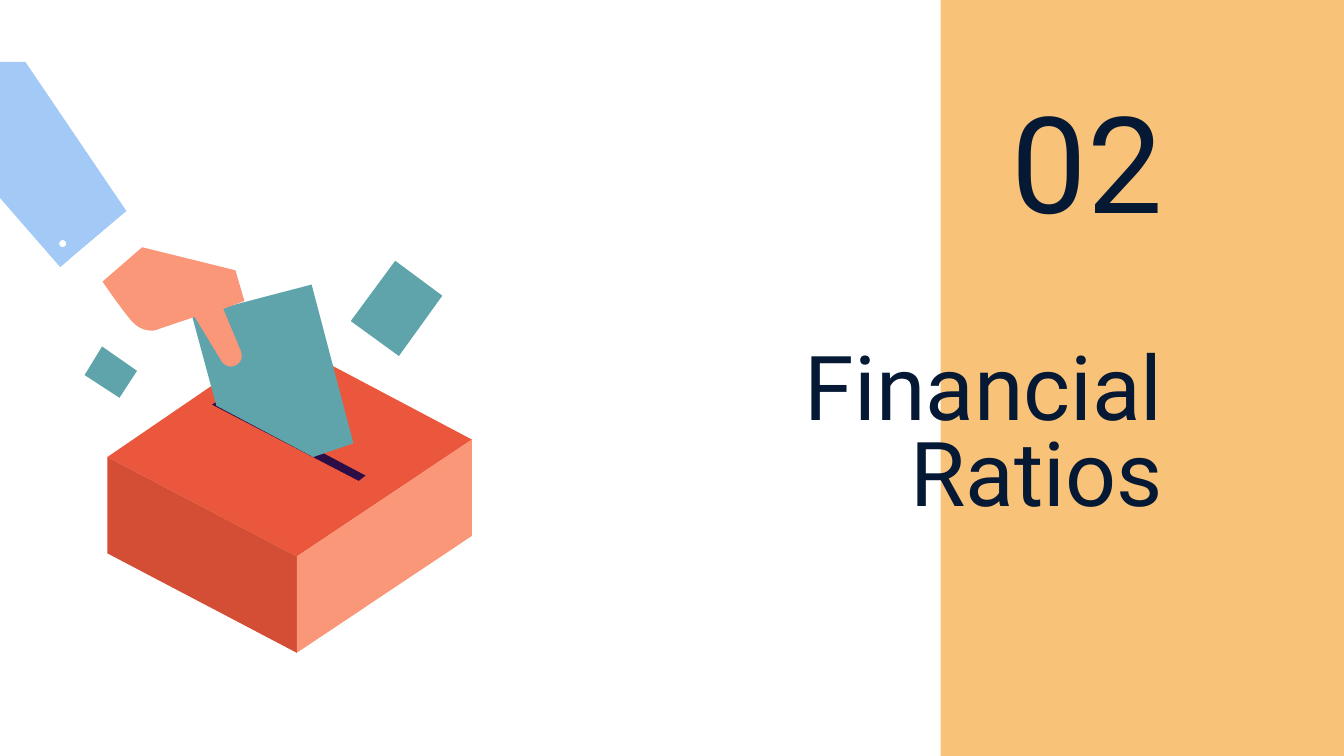
from dataclasses import dataclass

from pptx import Presentation
from pptx.dml.color import RGBColor
from pptx.enum.shapes import MSO_SHAPE
from pptx.enum.text import MSO_ANCHOR, PP_ALIGN
from pptx.util import Cm, Pt


@dataclass(frozen=True)
class Theme:
    """Colours, font and type sizes of the slide."""
    font: str = "Roboto"
    number_size: int = 72
    title_size: int = 48
    ink: str = "051934"
    band: str = "F8C379"
    lid: str = "EB573D"
    slot: str = "2D0D45"
    shade: str = "D44D35"
    skin: str = "FA9778"
    paper: str = "5FA4AB"
    sleeve: str = "A3CAF7"
    white: str = "FFFFFF"


THEME = Theme()
SLIDE_WIDTH, SLIDE_HEIGHT = 25.4, 14.29
BAND_LEFT = 17.78
TEXT_RIGHT = 22.23
BOX_DEPTH = 1.82
BACK, RIGHT, FRONT, LEFT = (5.31, 6.4), (8.92, 8.31), (5.61, 10.52), (2.03, 8.64)

SLOT = [(4.17, 7.54), (6.91, 8.99), (6.78, 9.09), (4.01, 7.65)]
BALLOT = [(5.89, 5.38), (6.68, 8.38), (5.92, 8.64), (4.09, 7.67), (3.63, 5.97)]
LARGE_PAPER = [(7.47, 4.93), (8.36, 5.59), (7.54, 6.73), (6.63, 6.07)]
SMALL_PAPER = [(1.93, 6.55), (2.59, 7.01), (2.26, 7.52), (1.6, 7.09)]
SLEEVE = [(0.48, 1.17), (2.39, 3.99), (1.14, 5.05), (-1.02, 2.57), (-1.02, 1.17)]
CUFF = [(2.34, 4.04), (2.77, 4.6), (1.8, 5.44), (1.32, 4.9)]


def paint(shape, color):
    """Give a shape a flat fill without outline or shadow."""
    shape.shadow.inherit = False
    shape.fill.solid()
    shape.fill.fore_color.rgb = RGBColor.from_string(color)
    shape.line.fill.background()


def add_preset(shapes, kind, left, top, width, height, color):
    """Add a flat preset shape."""
    paint(shapes.add_shape(kind, Cm(left), Cm(top), Cm(width), Cm(height)), color)


def add_outline(shapes, points, color):
    """Add a flat closed outline through points."""
    start, *others = [(Cm(x), Cm(y)) for x, y in points]
    builder = shapes.build_freeform(*start)
    builder.add_line_segments(others, close=True)
    paint(builder.convert_to_shape(), color)


def curve(start, *controls, steps=8):
    """Return the points of a cubic curve, both ends included."""
    weights = [((1 - t) ** 3, 3 * t * (1 - t) ** 2, 3 * t * t * (1 - t), t ** 3)
               for t in (step / steps for step in range(steps + 1))]
    return [tuple(sum(w * p[axis] for w, p in zip(row, (start, *controls)))
                  for axis in (0, 1)) for row in weights]


def hand_points():
    """Return the outline of the hand, with rounded thumb and palm."""
    thumb = (curve((4.55, 6.63), (4.6, 6.76), (4.55, 6.86), (4.45, 6.91))
             + curve((4.37, 6.93), (4.29, 6.93), (4.22, 6.88), (4.19, 6.83)))
    palm = (curve((3, 6.22), (3, 6.22), (2.95, 6.25), (2.87, 6.25))
            + curve((2.87, 6.25), (2.77, 6.25), (2.62, 6.22), (2.49, 6.07))[1:]
            + curve((2.49, 6.07), (2.29, 5.84), (1.93, 5.31), (1.93, 5.31))[1:])
    return [(2.67, 4.67), (4.45, 5.11), (4.62, 5.69), (4.22, 5.84),
            *thumb, (3.68, 5.99), *palm]


def box_side(near, far):
    """Return the wall that hangs below one edge of the lid."""
    return [near, far, *((x, y + BOX_DEPTH) for x, y in (far, near))]


def add_heading(slide, text, top, width, height, size, anchor, spacing):
    """Add right-aligned heading text that ends at the shared right edge."""
    heading = slide.shapes.add_textbox(Cm(TEXT_RIGHT - width), Cm(top), Cm(width), Cm(height))
    frame = heading.text_frame
    frame.word_wrap = True
    frame.vertical_anchor = anchor
    frame.margin_left = frame.margin_right = Cm(0.25)
    frame.margin_top = frame.margin_bottom = Cm(0.25)
    frame.text = text
    for paragraph in frame.paragraphs:
        paragraph.alignment = PP_ALIGN.RIGHT
        paragraph.line_spacing = spacing
        for run in paragraph.runs:
            run.font.name = THEME.font
            run.font.size = Pt(size)
            run.font.color.rgb = RGBColor.from_string(THEME.ink)


def add_ballot_scene(slide):
    """Draw a hand that drops a ballot into a box."""
    scene = slide.shapes.add_group_shape().shapes
    for points, color in (
        ([BACK, RIGHT, FRONT, LEFT], THEME.lid),
        (SLOT, THEME.slot),
        (box_side(LEFT, FRONT), THEME.shade),
        (box_side(FRONT, RIGHT), THEME.skin),
        (BALLOT, THEME.paper),
        (LARGE_PAPER, THEME.paper),
        (SMALL_PAPER, THEME.paper),
        (hand_points(), THEME.skin),
        (SLEEVE, THEME.sleeve),
        (CUFF, THEME.white),
    ):
        add_outline(scene, points, color)
    add_preset(scene, MSO_SHAPE.OVAL, 1.12, 4.54, 0.13, 0.13, THEME.white)


def main():
    """Build the section slide and save it."""
    deck = Presentation()
    deck.slide_width, deck.slide_height = Cm(SLIDE_WIDTH), Cm(SLIDE_HEIGHT)
    slide = deck.slides.add_slide(deck.slide_layouts[6])
    add_preset(slide.shapes, MSO_SHAPE.RECTANGLE, BAND_LEFT, 0,
               SLIDE_WIDTH - BAND_LEFT, SLIDE_HEIGHT, THEME.band)
    add_heading(slide, "Financial\nRatios", 7.11, 11.76, 2.34,
                THEME.title_size, MSO_ANCHOR.MIDDLE, 0.8)
    add_heading(slide, "02", 2.62, 6.99, 2.18,
                THEME.number_size, MSO_ANCHOR.BOTTOM, 1.0)
    add_ballot_scene(slide)
    deck.save("out.pptx")


if __name__ == "__main__":
    main()
